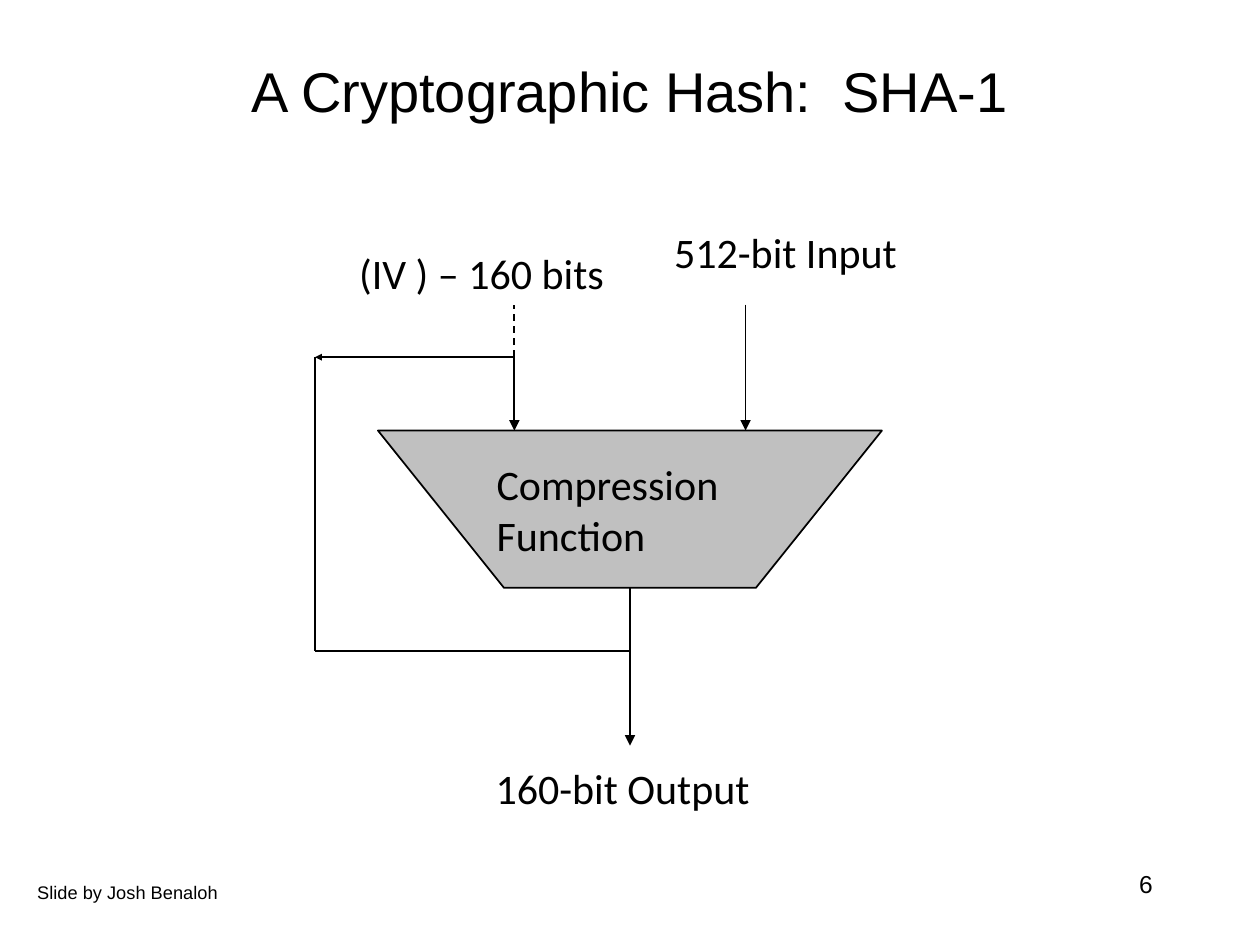
from lxml import etree
from pptx import Presentation
from pptx.dml.color import RGBColor
from pptx.enum.dml import MSO_LINE
from pptx.enum.shapes import MSO_CONNECTOR
from pptx.enum.text import MSO_ANCHOR, PP_ALIGN
from pptx.oxml.ns import qn
from pptx.util import Cm, Pt

LEFT, CENTER, RIGHT = PP_ALIGN.LEFT, PP_ALIGN.CENTER, PP_ALIGN.RIGHT
TOP, MIDDLE = MSO_ANCHOR.TOP, MSO_ANCHOR.MIDDLE
STRAIGHT, DASH = MSO_CONNECTOR.STRAIGHT, MSO_LINE.DASH
BLACK, GREY = "000000", "C0C0C0"

TITLE = "A Cryptographic Hash:  SHA-1"
FUNCTION = ["Compression", "Function"]
HEADING = {"name": "Arial", "size": Pt(32)}
LABEL = {"name": "Calibri", "size": Pt(24)}
NUMBER = {"name": "Arial", "size": Pt(14)}
CREDIT = {"name": "Arial", "size": Pt(18)}

LOOP_X, IV_X, OUT_X, INPUT_X = 6.35, 10.37, 12.7, 15.03
START_Y, FORK_Y, TOP_Y, BOTTOM_Y, JOIN_Y, END_Y = 6.14, 7.2, 8.68, 11.85, 13.12, 15.03
TRAPEZOID = [(7.62, TOP_Y), (10.16, BOTTOM_Y), (15.24, BOTTOM_Y), (17.78, TOP_Y)]

LINES = [
    ((OUT_X, BOTTOM_Y), (OUT_X, END_Y), "med", None),
    ((INPUT_X, START_Y), (INPUT_X, TOP_Y), "med", None),
    ((IV_X, FORK_Y), (IV_X, TOP_Y), "med", None),
    ((IV_X, FORK_Y), (LOOP_X, FORK_Y), "sm", None),
    ((LOOP_X, FORK_Y), (LOOP_X, JOIN_Y), None, None),
    ((LOOP_X, JOIN_Y), (OUT_X, JOIN_Y), None, None),
    ((IV_X, FORK_Y), (IV_X, START_Y), None, DASH),
]
TEXTS = [
    ("160-bit Output", (9.74, 15.24, 5.87, 1.27), LABEL, LEFT, False, None),
    ("512-bit Input", (13.34, 4.45, 5.23, 1.27), LABEL, LEFT, False, None),
    ("(IV ) – 160 bits", (6.99, 4.87, 5.49, 1.27), LABEL, LEFT, False, None),
    ("6", (18.2, 17.4, 5.29, 1.27), NUMBER, RIGHT, True, None),
    ("Slide by Josh Benaloh", (0.5, 17.22, 7.11, 0.76), CREDIT, LEFT, True, "-25000"),
]


def color(value):
    return RGBColor.from_string(value)


def write(tf, lines, font, align, anchor=TOP, wrap=True, baseline=None):
    tf.word_wrap, tf.vertical_anchor = wrap, anchor
    for i, text in enumerate(lines):
        p = tf.add_paragraph() if i else tf.paragraphs[0]
        p.alignment = align
        r = p.add_run()
        r.text = text
        r.font.color.rgb = color(BLACK)
        for key, value in font.items():
            setattr(r.font, key, value)
        if baseline:
            r._r.get_or_add_rPr().set("baseline", baseline)


def outline(line):
    line.color.rgb = color(BLACK)
    line.width = Pt(1)


def add_trapezoid(s):
    points = [(Cm(x), Cm(y)) for x, y in TRAPEZOID]
    builder = s.shapes.build_freeform(*points[0])
    builder.add_line_segments(points[1:], close=True)
    sp = builder.convert_to_shape()
    sp.shadow.inherit = False
    sp.fill.solid()
    sp.fill.fore_color.rgb = color(GREY)
    outline(sp.line)
    sp.text_frame.margin_left = Cm(2.39)
    write(sp.text_frame, FUNCTION, LABEL, LEFT, MIDDLE)


def add_line(s, start, end, head, dash):
    line = s.shapes.add_connector(STRAIGHT, *map(Cm, start + end))
    outline(line.line)
    if dash:
        line.line.dash_style = dash
    if head:
        etree.SubElement(line.line._get_or_add_ln(), qn("a:tailEnd"),
                         type="triangle", w=head, len=head)
    etree.SubElement(line._element.spPr, qn("a:effectLst"))


def main():
    """Build the SHA-1 compression diagram slide."""
    prs = Presentation()
    prs.slide_width, prs.slide_height = Cm(25.4), Cm(19.05)
    s = prs.slides.add_slide(prs.slide_layouts[5])
    title = s.shapes.title
    title.left, title.top, title.width, title.height = map(Cm, (1.9, 0.64, 21.6, 2.34))
    write(title.text_frame, [TITLE], HEADING, CENTER, MIDDLE)
    add_trapezoid(s)
    for item in LINES:
        add_line(s, *item)
    for text, box, font, align, wrap, baseline in TEXTS:
        tf = s.shapes.add_textbox(*map(Cm, box)).text_frame
        write(tf, [text], font, align, TOP, wrap, baseline)
    prs.save("out.pptx")


if __name__ == "__main__":
    main()
